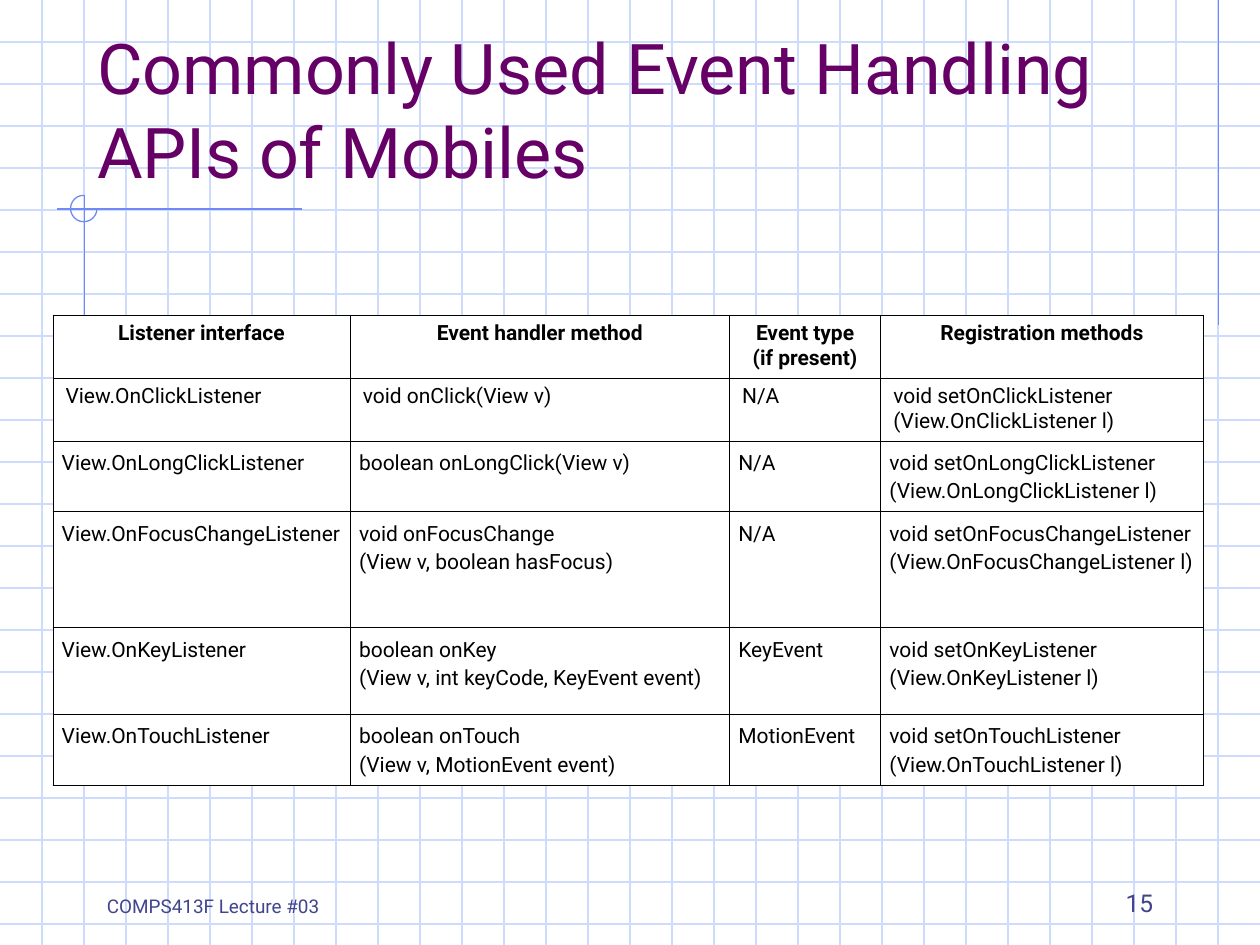
"""Build the slide on event handling APIs."""
import pptx
import pptx.dml.color
import pptx.enum.shapes
import pptx.enum.text
import pptx.oxml
import pptx.oxml.ns
import pptx.util

Inches = pptx.util.Inches
Pt = pptx.util.Pt
RGB = pptx.dml.color.RGBColor
ALIGN = pptx.enum.text.PP_ALIGN
BOTTOM = pptx.enum.text.MSO_ANCHOR.BOTTOM
SHAPE = pptx.enum.shapes.MSO_SHAPE
STRAIGHT = pptx.enum.shapes.MSO_CONNECTOR.STRAIGHT

WHITE = RGB(0xFF, 0xFF, 0xFF)
BLACK = RGB(0, 0, 0)
GRID = RGB(0xCF, 0xDB, 0xFD)
BLUE = RGB(0x6F, 0x89, 0xF7)
PURPLE = RGB(0x66, 0x00, 0x66)
NAVY = RGB(0x40, 0x45, 0x8C)

COLS = [2.36, 3.01, 1.2, 2.56]
ROWS = [0.5, 0.5, 0.46, 0.92, 0.69, 0.46]
CELLS = [
    ["Listener interface", "Event handler method", "Event type\n(if present)", "Registration methods"],
    ["View.OnClickListener", "void onClick(View v)", "N/A",
     "void setOnClickListener\n(View.OnClickListener l)"],
    ["View.OnLongClickListener", "boolean onLongClick(View v)", "N/A",
     "void setOnLongClickListener\n(View.OnLongClickListener l)"],
    ["View.OnFocusChangeListener", "void onFocusChange\n(View v, boolean hasFocus)", "N/A",
     "void setOnFocusChangeListener\n(View.OnFocusChangeListener l)"],
    ["View.OnKeyListener", "boolean onKey\n(View v, int keyCode, KeyEvent event)", "KeyEvent",
     "void setOnKeyListener\n(View.OnKeyListener l)"],
    ["View.OnTouchListener", "boolean onTouch\n(View v, MotionEvent event)", "MotionEvent",
     "void setOnTouchListener\n(View.OnTouchListener l)"],
]


class Deck:
    """Hold the style and the current slide."""

    face = "Roboto"
    thin = Pt(0.75)

    def __init__(self, wide, high):
        self.show = pptx.Presentation()
        self.show.slide_width = Inches(wide)
        self.show.slide_height = Inches(high)
        self.slide = self.show.slides.add_slide(self.show.slide_layouts[5])
        self.slide.background.fill.solid()
        self.slide.background.fill.fore_color.rgb = WHITE

    def style(self, frame, size, color, align=ALIGN.LEFT, bold=False, space=None):
        for para in frame.paragraphs:
            para.alignment = align
            para.line_spacing = space
            para.font.name = self.face
            para.font.size = Pt(size)
            para.font.bold = bold
            para.font.color.rgb = color

    def line(self, x1, y1, x2, y2, color):
        line = self.slide.shapes.add_connector(
            STRAIGHT, Inches(x1), Inches(y1), Inches(x2), Inches(y2))
        line.line.color.rgb = color
        line.line.width = self.thin
        line._element.spPr.append(pptx.oxml.parse_xml(
            f"<a:effectLst {pptx.oxml.ns.nsdecls('a')}/>"))

    def arc(self, x, y, size, color):
        arc = self.slide.shapes.add_shape(
            SHAPE.ARC, Inches(x), Inches(y), Inches(size), Inches(size))
        arc.adjustments[0] = 0
        arc.adjustments[1] = 162
        arc.shadow.inherit = False
        arc.fill.background()
        arc.line.color.rgb = color
        arc.line.width = self.thin

    def title(self, text, x, y, wide, high):
        title = self.slide.shapes.title
        title.left, title.top = Inches(x), Inches(y)
        title.width, title.height = Inches(wide), Inches(high)
        frame = title.text_frame
        frame.text = text
        frame.auto_size = pptx.enum.text.MSO_AUTO_SIZE.NONE
        frame.vertical_anchor = BOTTOM
        self.style(frame, 40, PURPLE)
        self.slide.shapes._spTree.append(title._element)

    def label(self, text, x, y, wide, high, size, align=ALIGN.LEFT):
        box = self.slide.shapes.add_textbox(
            Inches(x), Inches(y), Inches(wide), Inches(high))
        frame = box.text_frame
        frame.word_wrap = True
        frame.vertical_anchor = BOTTOM
        frame.text = text
        self.style(frame, size, NAVY, align)

    def border(self, cell):
        props = cell._tc.get_or_add_tcPr()
        for side in "LRTB":
            props.append(pptx.oxml.parse_xml(
                f"<a:ln{side} {pptx.oxml.ns.nsdecls('a')} w='{Pt(0.45)}'>"
                f"<a:solidFill><a:srgbClr val='{BLACK}'/></a:solidFill></a:ln{side}>"))

    def table(self, x, y, cols, rows, cells):
        table = self.slide.shapes.add_table(
            len(rows), len(cols), Inches(x), Inches(y),
            Inches(sum(cols)), Inches(sum(rows))).table
        table.first_row = table.horz_banding = False
        for col, wide in zip(table.columns, cols):
            col.width = Inches(wide)
        for i, (row, high) in enumerate(zip(table.rows, rows)):
            row.height = Inches(high)
            for cell, text in zip(row.cells, cells[i]):
                cell.text = text
                self.border(cell)
                cell.fill.solid()
                cell.fill.fore_color.rgb = WHITE
                if i > 1:
                    cell.margin_left = cell.margin_right = Inches(0.07)
                self.style(cell.text_frame, 12, BLACK,
                           ALIGN.LEFT if i else ALIGN.CENTER,
                           bold=i == 0, space=1.15 if i > 1 else None)


def main():
    deck = Deck(10, 7.5)
    for i in range(1, 23):
        deck.line(0, i / 3, 10, i / 3, GRID)
    for i in range(1, 30):
        deck.line(i / 3, 0, i / 3, 7.5, GRID)
    deck.line(9.67, 0, 9.67, 2.58, BLUE)
    deck.line(2.4, 1.66, 0.45, 1.66, BLUE)
    deck.line(0.67, 1.55, 0.67, 4.09, BLUE)
    deck.arc(0.56, 1.55, 0.21, BLUE)
    deck.title("Commonly Used Event Handling APIs of Mobiles", 0.67, 0.33, 8.5, 1.25)
    deck.label("COMPS413F Lecture #03", 0.75, 6.83, 2.08, 0.5, 10.8)
    deck.label("15", 7.17, 6.83, 2.08, 0.5, 14, ALIGN.RIGHT)
    deck.table(0.42, 2.5, COLS, ROWS, CELLS)
    deck.show.save("out.pptx")


if __name__ == "__main__":
    main()
